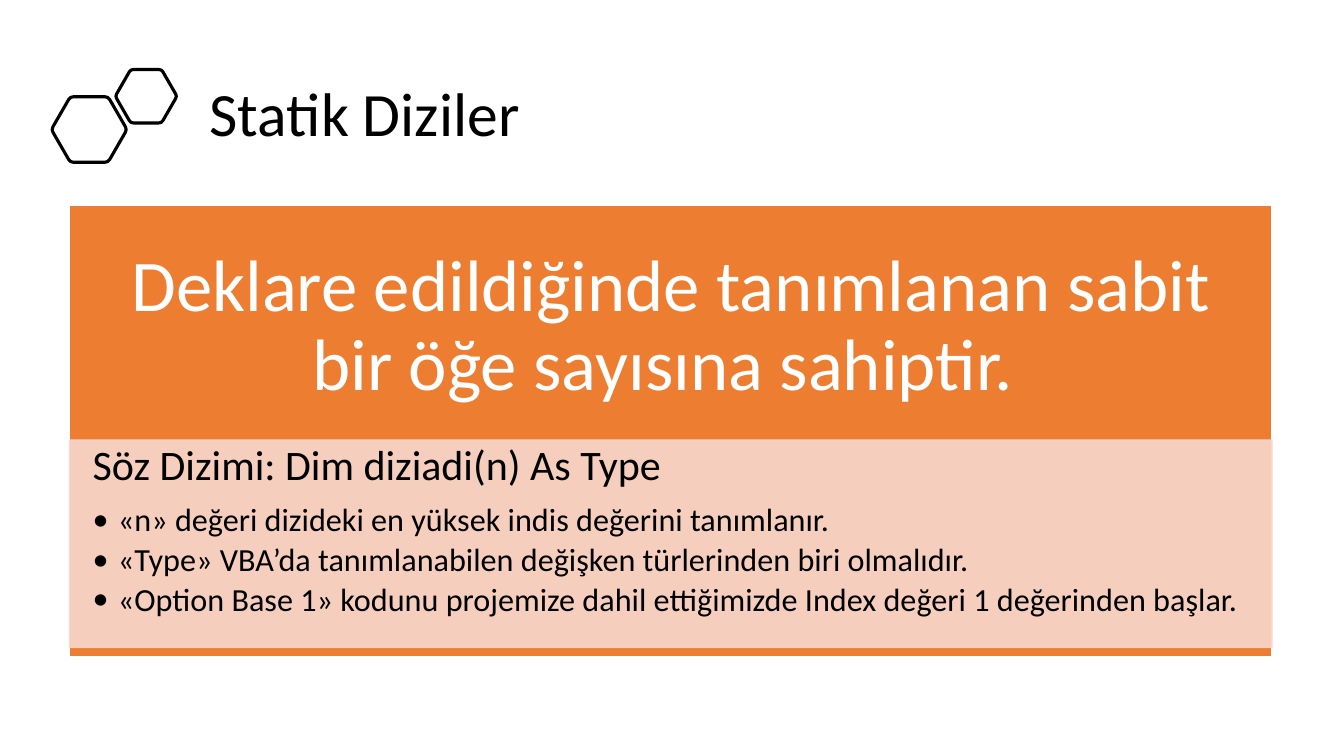
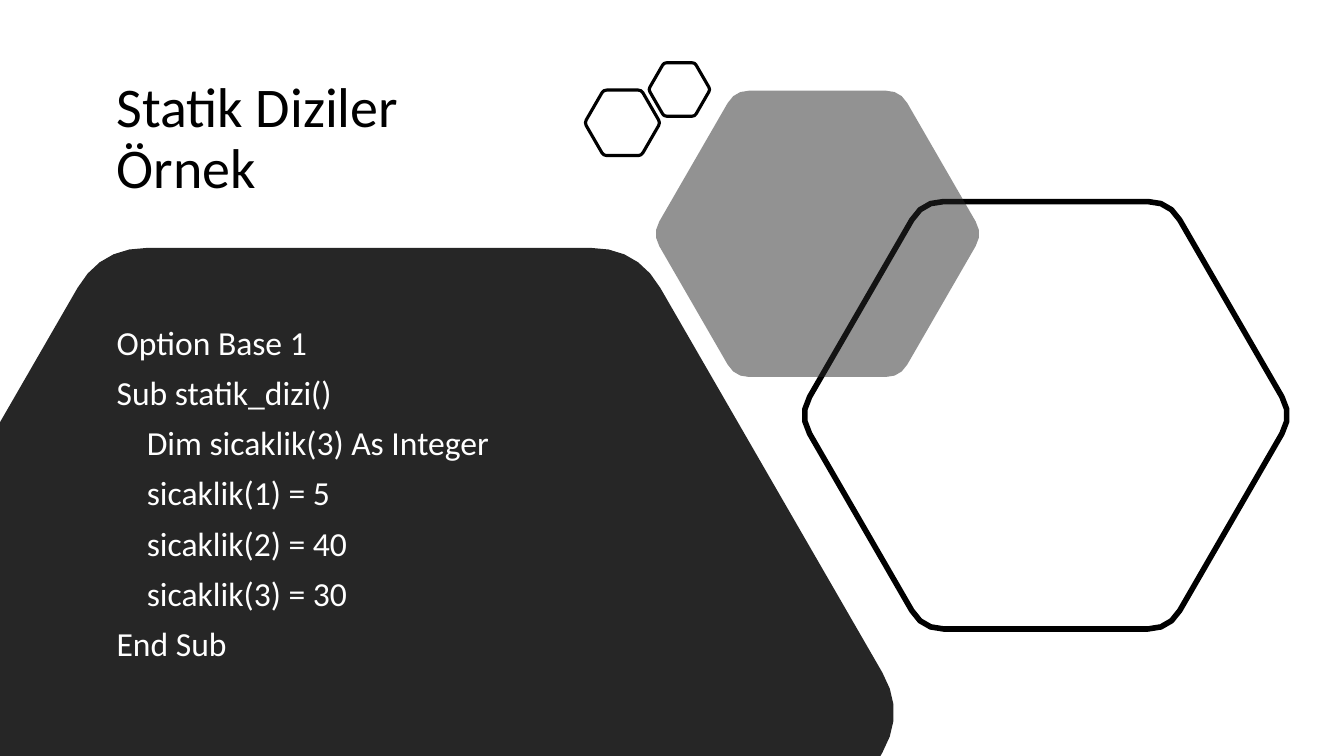
from math import cos, pi, sin, sqrt

from pptx import Presentation
from pptx.dml.color import RGBColor
from pptx.enum.shapes import MSO_SHAPE as Preset
from pptx.enum.text import MSO_ANCHOR as Anchor, MSO_AUTO_SIZE as AutoSize, PP_ALIGN as Align
from pptx.oxml.ns import qn
from pptx.oxml.xmlchemy import OxmlElement as Element
from pptx.util import Inches, Pt

COLUMNS, ROWS = 80, 45
CELL = Inches(7.5) / ROWS
FONT = "Calibri"
BLACK, WHITE, DARK = "000000", "FFFFFF", "262626"
ORANGE, BLUSH = "ED7D31", "F8D7CE"


def color(hex_text):
    """Turn a hex string into a colour."""
    return RGBColor.from_string(hex_text)


def cells(*values):
    """Convert grid units to slide lengths."""
    return [round(value * CELL) for value in values]


def hexagon_points(x, y, height, steps, cut=0.086):
    """Return the outline of a flat-topped hexagon with rounded corners."""
    side = height / sqrt(3)
    corners = [(x + side * cos(k * pi / 3), y + side * sin(k * pi / 3)) for k in range(6)]
    points = []
    for index, corner in enumerate(corners):
        start, end = [
            [c + (n - c) * cut for c, n in zip(corner, corners[neighbour % 6])]
            for neighbour in (index - 1, index + 1)
        ]
        for step in range(steps + 1):
            t = step / steps
            points.append(tuple(
                (1 - t) ** 2 * a + 2 * t * (1 - t) * c + t ** 2 * b
                for a, c, b in zip(start, corner, end)
            ))
    return points


def clip(points, axis, limit, sign):
    """Keep the part of a polygon on one side of a straight limit."""
    kept = []
    for first, second in zip(points, points[1:] + points[:1]):
        before, after = [(point[axis] - limit) * sign for point in (first, second)]
        if before >= 0:
            kept.append(first)
        if before * after < 0:
            t = before / (before - after)
            kept.append(tuple(a + (b - a) * t for a, b in zip(first, second)))
    return kept


def write(frame, text, new=False, size=24, ink=BLACK, align=Align.LEFT, before=0, after=0,
          level=0, margin=0, bullet=None):
    """Write one formatted paragraph into a text frame."""
    paragraph = frame.add_paragraph() if new else frame.paragraphs[0]
    paragraph.text = text
    paragraph.alignment, paragraph.level = align, level
    paragraph.line_spacing = 0.9
    paragraph.space_before, paragraph.space_after = Pt(before), Pt(after)
    for run in paragraph.runs:
        run.font.name, run.font.size = FONT, Pt(size)
        run.font.color.rgb = color(ink)
    properties = paragraph._p.get_or_add_pPr()
    properties.set("marL", str(Inches(margin)))
    properties.set("indent", str(Inches(-margin if bullet else 0)))
    mark = Element("a:buChar" if bullet else "a:buNone")
    if bullet:
        typeface = Element("a:buFont")
        typeface.set("typeface", FONT)
        properties.append(typeface)
        mark.set("char", bullet)
    properties.append(mark)


class Deck:
    """Hold the shared style and the current slide."""

    def __init__(self):
        """Start an empty widescreen presentation."""
        self.presentation = Presentation()
        self.presentation.slide_width, self.presentation.slide_height = cells(COLUMNS, ROWS)

    def add_slide(self, layout, title, box, size):
        """Add a slide with its title."""
        self.slide = self.presentation.slides.add_slide(self.presentation.slide_layouts[layout])
        frame = self.place(self.slide.shapes.title, box, Anchor.MIDDLE)
        write(frame, title, size=size)

    def place(self, shape, box, anchor=Anchor.TOP):
        """Move a placeholder and prepare its text frame."""
        shape.left, shape.top, shape.width, shape.height = cells(*box)
        return self.prepare(shape, anchor)

    def prepare(self, shape, anchor, insets=(0.1, 0.05, 0.1, 0.05)):
        """Set wrapping, anchor and insets of a text frame."""
        frame = shape.text_frame
        frame.word_wrap, frame.auto_size = True, AutoSize.NONE
        frame.vertical_anchor = anchor
        (frame.margin_left, frame.margin_top,
         frame.margin_right, frame.margin_bottom) = map(Inches, insets)
        return frame

    def paint(self, shape, fill=None, line=None, weight=1, alpha=None):
        """Apply fill, line and opacity to a shape."""
        shape.shadow.inherit = False
        if fill:
            shape.fill.solid()
            shape.fill.fore_color.rgb = color(fill)
        else:
            shape.fill.background()
        if line:
            shape.line.color.rgb = color(line)
            shape.line.width = Pt(weight)
        else:
            shape.line.fill.background()
        if alpha:
            for tint in shape.element.spPr.iter(qn("a:srgbClr")):
                opacity = Element("a:alpha")
                opacity.set("val", str(alpha * 1000))
                tint.append(opacity)

    def panel(self, box, **look):
        """Add a filled rectangle."""
        shape = self.slide.shapes.add_shape(Preset.RECTANGLE, *cells(*box))
        self.paint(shape, **look)

    def text_box(self, box, anchor, insets):
        """Add a text box and return its text frame."""
        return self.prepare(self.slide.shapes.add_textbox(*cells(*box)), anchor, insets)

    def hexagon(self, x, y, height, shapes=None, steps=3, **look):
        """Add a rounded hexagon, trimmed to the slide."""
        points = clip(hexagon_points(x, y, height, steps), 0, 0, 1)
        points = [cells(*point) for point in clip(points, 1, ROWS, -1)]
        builder = (shapes or self.slide.shapes).build_freeform(*points[0], scale=1.0)
        builder.add_line_segments(points[1:], close=True)
        self.paint(builder.convert_to_shape(), **look)

    def hexagon_pair(self, x, y):
        """Add the grouped outline ornament."""
        shapes = self.slide.shapes.add_group_shape().shapes
        for right, down, height in ((0, 0, 3.9), (3.39, -1.98, 3.18)):
            self.hexagon(x + right, y + down, height, shapes, steps=2, line=BLACK, weight=2.25)

    def code(self, box, lines):
        """Fill the body placeholder with indented code, in front."""
        body = self.slide.placeholders[1]
        self.slide.shapes.element.append(body.element)
        frame = self.place(body, box)
        for index, (depth, text) in enumerate(lines):
            write(frame, text, new=index > 0, ink=WHITE, before=10, margin=0.3 * depth)


deck = Deck()

deck.add_slide(5, "Statik Diziler", (11.88, 3.42, 64.86, 7.02), 44)
deck.hexagon_pair(5.31, 7.71)
deck.panel((4.14, 12.21, 71.58, 26.88), fill=ORANGE, line=WHITE)
headline = deck.text_box((4.14, 12.21, 71.58, 14.52), Anchor.MIDDLE, (0.4, 0.4, 0.4, 0.4))
write(headline, "Deklare edildiğinde tanımlanan sabit bir öğe sayısına sahiptir. ",
      size=52, ink=WHITE, align=Align.CENTER, after=18.2)
syntax_box = (4.14, 26.19, 71.58, 12.36)
deck.panel(syntax_box, fill=BLUSH, line=BLUSH, alpha=90)
syntax = deck.text_box(syntax_box, Anchor.TOP, (0.23, 0.04, 0.23, 0.04))
write(syntax, "Söz Dizimi: Dim diziadi(n) As Type", size=30, after=10.5)
for rule in (
    "«n» değeri dizideki en yüksek indis değerini tanımlanır.",
    "«Type» VBA’da tanımlanabilen değişken türlerinden biri olmalıdır.",
    "«Option Base 1» kodunu projemize dahil ettiğimizde Index değeri 1 değerinden başlar.",
):
    write(syntax, rule, new=True, size=23, after=3.45, level=1, margin=0.25, bullet="•")

deck.add_slide(1, "Statik Diziler \vÖrnek", (6.34, 2.92, 28.08, 10.8), 40)
deck.hexagon(21.96, 42.42, 55.32, steps=5, fill=DARK)
deck.hexagon(62.25, 24.72, 25.44, line=BLACK, weight=4)
deck.hexagon(48.66, 13.92, 17.04, fill=DARK, alpha=50)
deck.hexagon_pair(37.05, 7.31)
deck.code((6.34, 19.11, 33.66, 24.72), (
    (0, "Option Base 1"),
    (0, "Sub statik_dizi()"),
    (1, "Dim sicaklik(3) As Integer"),
    (1, "sicaklik(1) = 5"),
    (1, "sicaklik(2) = 40"),
    (1, "sicaklik(3) = 30"),
    (0, "End Sub"),
))

deck.presentation.save("out.pptx")
